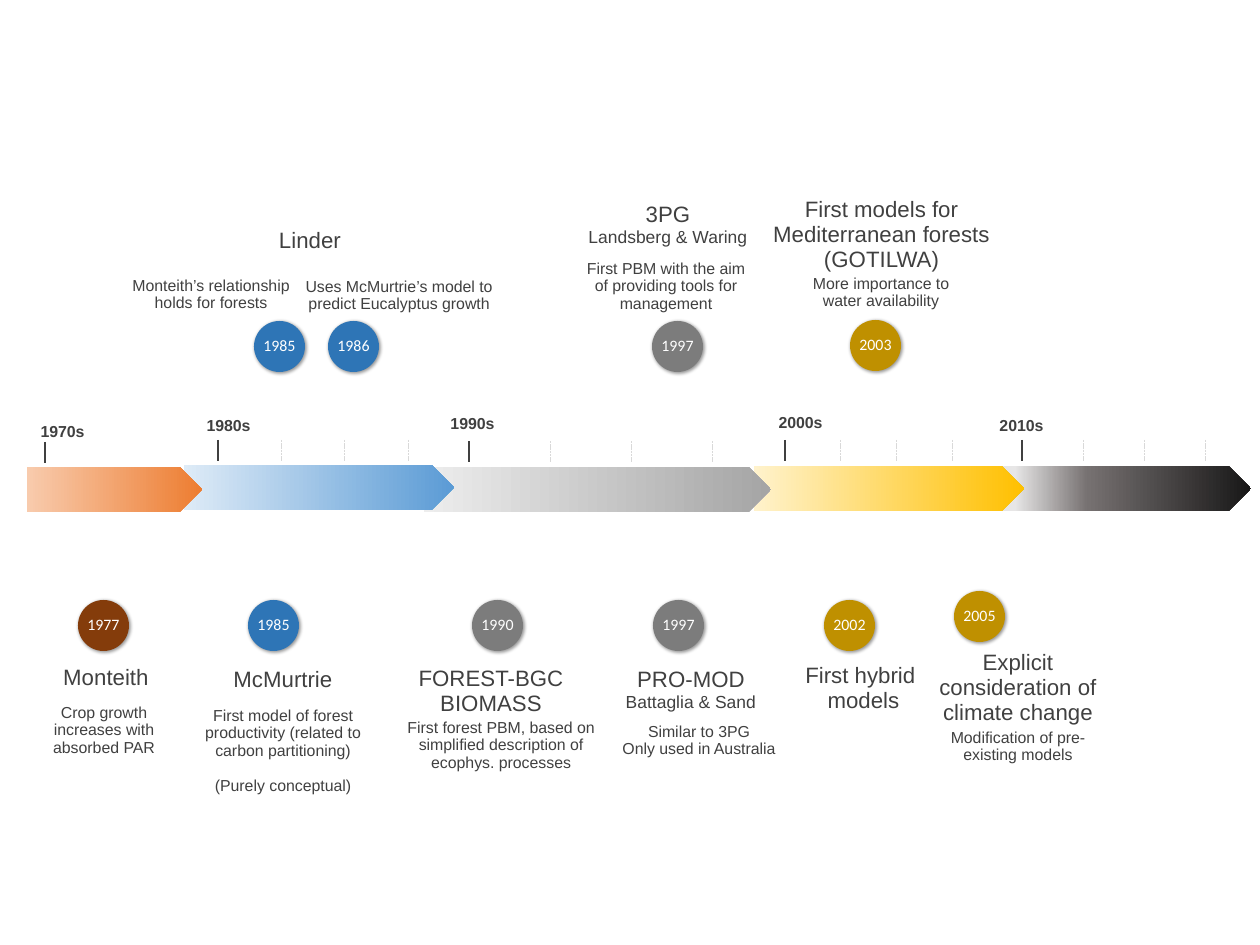
"""Timeline of process-based forest models, from the 1970s to the 2010s."""
from copy import deepcopy

from lxml.etree import SubElement
from pptx import Presentation
from pptx.dml.color import RGBColor as RGB
from pptx.enum.dml import MSO_LINE as Dash
from pptx.enum.shapes import MSO_CONNECTOR as Link, MSO_SHAPE as Form
from pptx.enum.text import MSO_ANCHOR as Anchor, PP_ALIGN as Align
from pptx.oxml.ns import qn
from pptx.util import Pt

PX = 8000
WIDE, HIGH = 1260, 945
BAR, TICK, DOT = 45, 21, 51
HEAD, SUB, BODY = 14, 11, 10
LEAD = 0.93

INK = RGB(0x40, 0x40, 0x40)
PALE = RGB(0xD9, 0xD9, 0xD9)
WHITE = RGB(0xFF, 0xFF, 0xFF)
BROWN = RGB(0x84, 0x3C, 0x0B)
BLUE = RGB(0x2E, 0x75, 0xB6)
GREY = RGB(0x7C, 0x7C, 0x7C)
GOLD = RGB(0xBF, 0x90, 0x00)
BLACKS = [(0.1, RGB(0xE7, 0xE6, 0xE6)), (0.38, RGB(0x76, 0x71, 0x71)),
          (1, RGB(0x18, 0x17, 0x17))]
GOLDS = [(0, RGB(0xFF, 0xF2, 0xCC)), (1, RGB(0xFF, 0xC0, 0x00))]
GREYS = [(0, RGB(0xED, 0xED, 0xED)), (1, RGB(0xA5, 0xA5, 0xA5))]
BLUES = [(0, RGB(0xDE, 0xEB, 0xF7)), (1, RGB(0x5B, 0x9B, 0xD5))]
REDS = [(0, RGB(0xF8, 0xCB, 0xAD)), (1, RGB(0xED, 0x7D, 0x31))]

# name, label (x, y), bar (x, y, width), tick top, first tick, last tick, stops
SPANS = [
    ("2010s", (986, 417), (988, 466, 263), 440, 1022, 1205, BLACKS),
    ("2000s", (765, 414), (754, 466, 270), 440, 785, 952, GOLDS),
    ("1990s", (437, 415), (424, 467, 347), 441, 469, 712, GREYS),
    ("1980s", (193, 417), (184, 465, 270), 440, 218, 408, BLUES),
    ("1970s", (27, 423), (27, 467, 175), 442, 45, None, REDS),
]

DOTS = [
    ("1985", 254, 321, BLUE), ("1986", 328, 321, BLUE),
    ("1997", 652, 321, GREY), ("2003", 850, 320, GOLD),
    ("1977", 78, 600, BROWN), ("1985", 248, 600, BLUE),
    ("1990", 472, 600, GREY), ("1997", 653, 600, GREY),
    ("2002", 824, 600, GOLD), ("2005", 954, 591, GOLD),
]

# box (x, y, width, height), then parts (text, size, space before);
# a part that ends in a line break shares its paragraph with the next
NOTES = [
    ((229, 229, 162, 25), [("Linder", HEAD, 0)]),
    ((130, 277, 162, 35),
     [("Monteith’s relationship\nholds for forests", BODY, 0)]),
    ((304, 278, 190, 35),
     [("Uses McMurtrie’s model to predict Eucalyptus growth", BODY, 0)]),
    ((587, 203, 162, 45),
     [("3PG\n", HEAD, 0), ("Landsberg & Waring", SUB, 0)]),
    ((585, 260, 162, 54),
     [("First PBM with the aim of providing tools for management", BODY, 0)]),
    ((772, 198, 219, 75),
     [("First models for Mediterranean forests\n(GOTILWA)", HEAD, 0)]),
    ((800, 275, 162, 35),
     [("More importance to water availability", BODY, 0)]),
    ((39, 666, 134, 25), [("Monteith", HEAD, 0)]),
    ((47, 704, 114, 54),
     [("Crop growth increases with absorbed PAR", BODY, 0)]),
    ((202, 668, 162, 25), [("McMurtrie", HEAD, 0)]),
    ((202, 707, 162, 89),
     [("First model of forest productivity (related to carbon partitioning)",
       BODY, 0), ("(Purely conceptual)", BODY, 11)]),
    ((390, 667, 202, 50), [("FOREST-BGC\nBIOMASS", HEAD, 0)]),
    ((400, 719, 202, 54),
     [("First forest PBM, based on simplified description of "
       "ecophys. processes", BODY, 0)]),
    ((610, 668, 162, 45),
     [("PRO-MOD", HEAD, 0), ("Battaglia & Sand", SUB, 0)]),
    ((618, 723, 162, 35),
     [("Similar to 3PG\nOnly used in Australia", BODY, 0)]),
    ((752, 664, 223, 50), [("First hybrid \nmodels", HEAD, 0)]),
    ((937, 651, 162, 75),
     [("Explicit consideration of climate change", HEAD, 0)]),
    ((937, 729, 162, 35), [("Modification of pre-existing models", BODY, 0)]),
]


def emu(*vals):
    return [round(v * PX) for v in vals]


def write(shape, parts, tint=INK, face="Arial", bold=False):
    frame = shape.text_frame
    frame.word_wrap = True
    frame.margin_left = frame.margin_right = 0
    frame.margin_top = frame.margin_bottom = 0
    para, prior = frame.paragraphs[0], "\n"
    for text, size, gap in parts:
        if not prior.endswith("\n"):
            para = frame.add_paragraph()
        prior = text
        para.alignment = Align.CENTER
        para.line_spacing = LEAD
        if gap:
            para.space_before = Pt(gap)
        for i, line in enumerate(text.split("\n")):
            if i:
                para.add_line_break()
            if line:
                run = para.add_run()
                run.text = line
                font = run.font
                font.size, font.name, font.bold = Pt(size), face, bold
                font.color.rgb = tint


def add_note(slide, box, parts, bold=False):
    write(slide.shapes.add_textbox(*emu(*box)), parts, bold=bold)


def add_bar(slide, x, y, wide, stops):
    bar = slide.shapes.add_shape(Form.RIGHT_ARROW, *emu(x, y, wide, BAR))
    bar.adjustments[0], bar.adjustments[1] = 1, 0.5
    bar.shadow.inherit = False
    bar.line.fill.background()
    bar.fill.gradient()
    bar.fill.gradient_angle = 0
    ramp = bar._element.spPr.find(".//" + qn("a:gsLst"))
    for _ in stops[2:]:
        ramp.append(deepcopy(ramp[-1]))
    for stop, (place, tint) in zip(bar.fill.gradient_stops, stops):
        stop.position, stop.color.rgb = place, tint


def add_tick(slide, x, y, main):
    tick = slide.shapes.add_connector(Link.STRAIGHT, *emu(x, y, x, y + TICK))
    tick.line.color.rgb = INK if main else PALE
    tick.line.width = Pt(1.25 if main else 0.5)
    if not main:
        tick.line.dash_style = Dash.SQUARE_DOT
    SubElement(tick._element.spPr, qn("a:effectLst"))


def add_dot(slide, year, x, y, tint):
    dot = slide.shapes.add_shape(Form.OVAL, *emu(x, y, DOT, DOT))
    dot.fill.solid()
    dot.fill.fore_color.rgb = tint
    dot.line.fill.background()
    dot.shadow.inherit = False
    glow = SubElement(dot._element.spPr.find(qn("a:effectLst")),
                      qn("a:outerShdw"), blurRad=str(Pt(2)), dist=str(Pt(1)),
                      dir="2700000", algn="tl", rotWithShape="0")
    hue = SubElement(glow, qn("a:srgbClr"), val="000000")
    SubElement(hue, qn("a:alpha"), val="40000")
    dot.text_frame.vertical_anchor = Anchor.MIDDLE
    write(dot, [(year, BODY, 0)], WHITE, "Calibri")


def main():
    deck = Presentation()
    deck.slide_width, deck.slide_height = emu(WIDE, HIGH)
    slide = deck.slides.add_slide(deck.slide_layouts[6])
    for name, spot, bar, top, first, last, stops in SPANS:
        add_bar(slide, *bar, stops)
        add_tick(slide, first, top, True)
        if last:
            for i in range(1, 4):
                add_tick(slide, first + (last - first) * i / 3, top, False)
        add_note(slide, (*spot, 71, 30), [(name, BODY, 0)], bold=True)
    for box, parts in NOTES:
        add_note(slide, box, parts)
    for dot in DOTS:
        add_dot(slide, *dot)
    deck.save("out.pptx")


if __name__ == "__main__":
    main()
